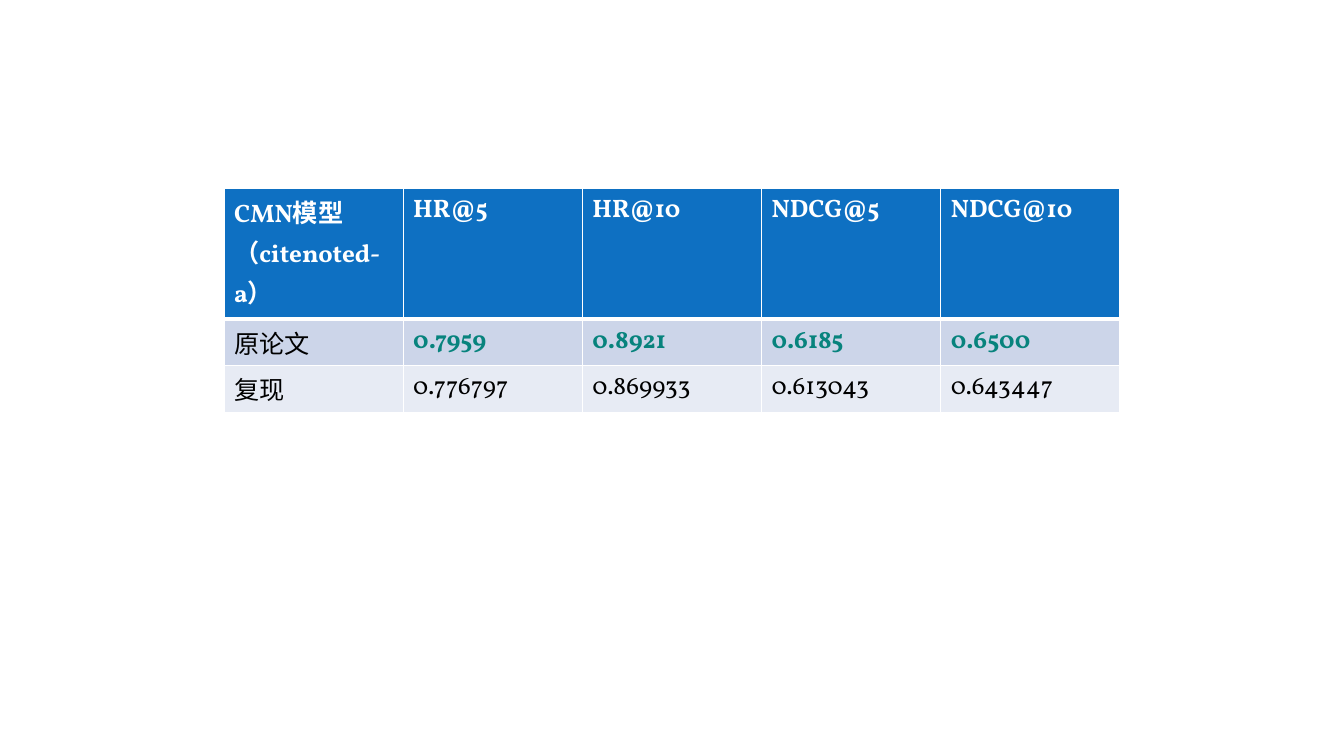
"""Build a slide with a table comparing reported and reproduced CMN results."""
from dataclasses import dataclass

from lxml import etree
from pptx import Presentation
from pptx.dml.color import RGBColor
from pptx.oxml.ns import qn
from pptx.table import _Cell
from pptx.util import Emu, Pt

EMU_PER_PIXEL = 914400 / 100.8


@dataclass(frozen=True)
class Theme:
    font: str = "Vollkorn"
    size: int = 18
    white: str = "FFFFFF"
    black: str = "000000"
    teal: str = "07837D"
    header_fill: str = "0E70C2"
    reported_fill: str = "CCD5E9"
    reproduced_fill: str = "E7EBF4"
    thin_border: int = 1
    thick_border: int = 3


@dataclass(frozen=True)
class TextStyle:
    color: str
    bold: bool


@dataclass(frozen=True)
class ResultRow:
    label: str
    values: tuple[str, ...]
    height: int
    fill: str
    label_style: TextStyle
    value_style: TextStyle
    top_border: int
    bottom_border: int


THEME = Theme()
HEADING = TextStyle(THEME.white, True)
PLAIN = TextStyle(THEME.black, False)
BEST = TextStyle(THEME.teal, True)
THIN, THICK = THEME.thin_border, THEME.thick_border

ROWS = (
    ResultRow("CMN模型（citenoted-a）", ("HR@5", "HR@10", "NDCG@5", "NDCG@10"),
              44, THEME.header_fill, HEADING, HEADING, THIN, THICK),
    ResultRow("原论文", ("0.7959", "0.8921", "0.6185", "0.6500"),
              41, THEME.reported_fill, PLAIN, BEST, THICK, THIN),
    ResultRow("复现", ("0.776797", "0.869933", "0.613043", "0.643447"),
              41, THEME.reproduced_fill, PLAIN, PLAIN, THIN, THIN),
)
TABLE_LEFT, TABLE_TOP, TABLE_WIDTH = 224, 188, 896


def px(pixels: int) -> Emu:
    """Convert whole pixels to EMU."""
    return Emu(round(pixels * EMU_PER_PIXEL))


def draw_border(cell: _Cell, side: str, width: int) -> None:
    """Draw a white border on one side of a cell."""
    properties = cell._tc.get_or_add_tcPr()
    line = etree.SubElement(properties, qn(f"a:ln{side}"), w=str(Pt(width)))
    fill = etree.SubElement(line, qn("a:solidFill"))
    etree.SubElement(fill, qn("a:srgbClr"), val=THEME.white)


def draw_cell(cell: _Cell, text: str, style: TextStyle, row: ResultRow) -> None:
    """Write and format one cell of a result row."""
    borders = {"L": THIN, "R": THIN, "T": row.top_border, "B": row.bottom_border}
    for side, width in borders.items():
        draw_border(cell, side, width)
    cell.fill.solid()
    cell.fill.fore_color.rgb = RGBColor.from_string(row.fill)
    run = cell.text_frame.paragraphs[0].add_run()
    run.text = text
    run.font.name = THEME.font
    run.font.size = Pt(THEME.size)
    run.font.bold = style.bold
    run.font.color.rgb = RGBColor.from_string(style.color)


def main() -> None:
    """Create the presentation and save it."""
    deck = Presentation()
    deck.slide_width, deck.slide_height = px(1344), px(756)
    slide = deck.slides.add_slide(deck.slide_layouts[6])
    table = slide.shapes.add_table(
        len(ROWS), 1 + len(ROWS[0].values), px(TABLE_LEFT), px(TABLE_TOP),
        px(TABLE_WIDTH), px(sum(row.height for row in ROWS))).table
    for row_index, row in enumerate(ROWS):
        table.rows[row_index].height = px(row.height)
        draw_cell(table.cell(row_index, 0), row.label, row.label_style, row)
        for column, value in enumerate(row.values, start=1):
            draw_cell(table.cell(row_index, column), value, row.value_style, row)
    deck.save("out.pptx")


main()
